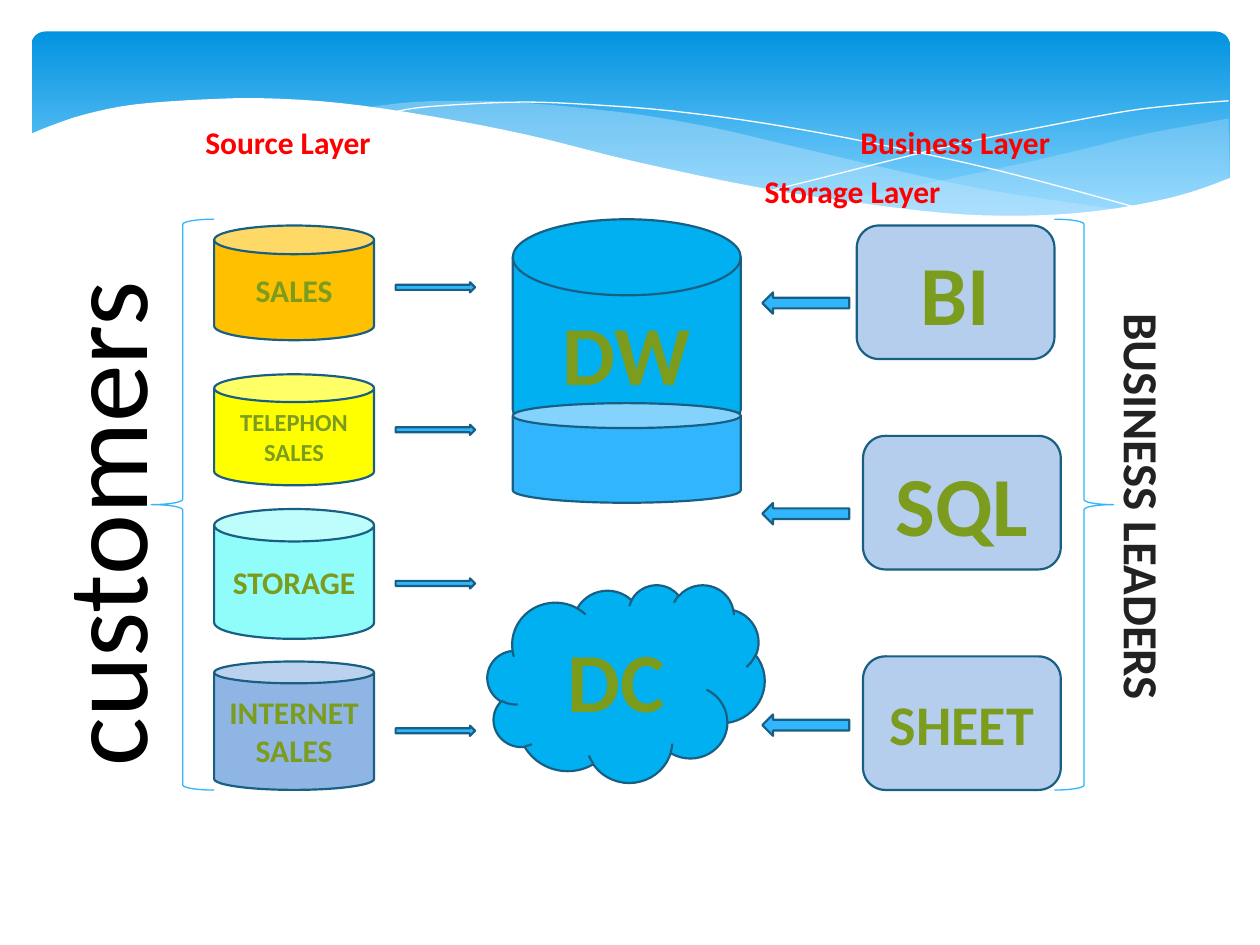
from dataclasses import dataclass

from lxml.etree import SubElement
from pptx import Presentation
from pptx.dml.color import RGBColor as Color
from pptx.enum.shapes import MSO_SHAPE as Kind
from pptx.enum.text import MSO_ANCHOR as Anchor, PP_ALIGN as Align
from pptx.oxml.ns import qn
from pptx.util import Pt


@dataclass(frozen=True)
class Theme:
    """Colours, type sizes and line widths of the slide."""
    font: str = "Calibri"
    accent: str = "31B6FD"
    outline: str = "195F84"
    store: str = "00B0F0"
    tool: str = "B5CEED"
    item: str = "7C9C1E"
    heading: str = "FF0000"
    black: str = "000000"
    dark: str = "222222"
    white: str = "FFFFFF"
    haze: str = "C6E7FC"
    sky_top: str = "0293E0"
    sky_foot: str = "83D3FE"
    sources: tuple = ("FFC000", "FFFF00", "91FDFA", "8FB5E5")
    small: int = 14
    body: int = 18
    side: int = 28
    medium: int = 32
    large: int = 48
    huge: int = 66
    border: float = 1.25
    thin: float = 0.75


THEME = Theme()

# Curves in points, measured from the top left corner of the header.
BACK_WAVE = [
    [(684, 49.7), (664.6, 53.3), (634.3, 59), (601.9, 67), (561.6, 76.3),
     (506.9, 87.8), (457.9, 97.2)],
    [(457.9, 97.2), (489.6, 100.8), (527, 104.4), (568.1, 105.8), (609.8, 103.7),
     (645.1, 97.2), (665.3, 91.4), (684.7, 83.5)]]
MIDDLE_WAVE = [
    [(625, 102.2), (584.6, 96.5), (540, 89.3), (490.3, 78.5), (434.9, 65.5),
     (391.7, 55.4), (352.1, 48.2), (316.8, 43.9), (284.4, 41), (255.6, 39.6),
     (218.2, 40.3), (187.9, 43.9)],
    [(187.9, 43.9), (228.2, 49.7), (272.9, 58.3), (305.3, 65.5), (363.6, 79.2),
     (414.7, 90), (460.8, 97.9), (501.8, 103), (547.2, 105.8), (578.2, 106.6),
     (606.2, 104.4), (625, 102.2)]]
FALLING_LINE = [
    [(204.5, 46.8), (218.2, 43.9), (243.4, 41.8), (281.5, 40.3), (319.7, 41.8),
     (365.8, 45.4), (419.8, 52.6), (482.4, 64.1), (554.4, 79.9), (635, 101.5)]]
RISING_LINE = [
    [(423.4, 90.7), (452.2, 83.5), (500.4, 71.3), (540.7, 61.9), (583.9, 53.3),
     (626.4, 45.4), (657.4, 41.8), (684, 39.6)]]
FRONT_WAVE = [
    [(685.4, 83.5), (666, 90.7), (644.4, 96.5), (612, 102.2), (574.6, 105.1),
     (529.9, 104.4), (477.4, 98.6), (416.2, 89.3), (344.2, 74.2), (283, 59),
     (226.8, 48.2), (177.1, 41), (133.9, 38.2), (97.9, 38.9), (58.3, 41.8),
     (30.2, 47.5), (10.8, 54), (-1.4, 59)],
    [(-1.4, 143.3), (685.4, 143.3)]]


def smooth(knots, steps=4):
    """Return points on a Catmull-Rom curve through the knots."""
    ends = [knots[0], *knots, knots[-1]]
    points = [knots[0]]
    for a, b, c, d in zip(ends, ends[1:], ends[2:], ends[3:]):
        for step in range(1, steps + 1):
            t = step / steps
            points.append(tuple(
                (2 * q + (r - p) * t + (2 * p - 5 * q + 4 * r - s) * t ** 2
                 + (3 * q - p - 3 * r + s) * t ** 3) / 2
                for p, q, r, s in zip(a, b, c, d)))
    return points


def write(shape, text, size, color, bold=True, align=Align.CENTER):
    """Put text into a shape and format its runs."""
    frame = shape.text_frame
    frame.word_wrap = True
    frame.text = text
    for para in frame.paragraphs:
        para.alignment = align
        for span in para.runs:
            span.font.name = THEME.font
            span.font.size = Pt(size)
            span.font.bold = bold
            span.font.color.rgb = Color.from_string(color)


def paint(shape, fill=None, line=None, width=THEME.border):
    """Set fill and line of a shape; None leaves either out."""
    shape.shadow.inherit = False
    if fill:
        shape.fill.solid()
        shape.fill.fore_color.rgb = Color.from_string(fill)
    else:
        shape.fill.background()
    if line:
        shape.line.color.rgb = Color.from_string(line)
        shape.line.width = Pt(width)
    else:
        shape.line.fill.background()


def add_block(page, kind, box, fill=None, text="", size=THEME.body):
    """Add an outlined preset shape with an optional label."""
    shape = page.shapes.add_shape(kind, *map(Pt, box))
    paint(shape, fill, THEME.outline)
    if text:
        write(shape, text, size, THEME.item)
        shape.text_frame.vertical_anchor = Anchor.MIDDLE
    return shape


def add_wave(page, origin, curves, fill=None, opacity=100, line=None):
    """Draw joined smooth curves, closed when they are filled."""
    points = [(x * 100, y * 100) for knots in curves for x, y in smooth(knots)]
    builder = page.shapes.build_freeform(*points[0], scale=Pt(1) / 100)
    builder.add_line_segments(points[1:], close=bool(fill))
    wave = builder.convert_to_shape(*map(Pt, origin))
    paint(wave, fill, line, 0)
    if opacity < 100:
        tint = wave.element.spPr.find(qn("a:solidFill"))[0]
        SubElement(tint, qn("a:alpha"), val=str(opacity * 1000))


def add_header(page, box):
    """Draw the sky band and the waves across its foot."""
    sky = page.shapes.add_shape(Kind.ROUNDED_RECTANGLE, *map(Pt, box))
    paint(sky)
    sky.adjustments[0] = 0.07
    sky.fill.gradient()
    sky.fill.gradient_angle = 270
    shades = ((0, THEME.sky_top), (0.9, THEME.sky_foot))
    for stop, (position, color) in zip(sky.fill.gradient_stops, shades):
        stop.position = position
        stop.color.rgb = Color.from_string(color)
    origin = box[:2]
    add_wave(page, origin, BACK_WAVE, THEME.haze, 29)
    add_wave(page, origin, MIDDLE_WAVE, THEME.haze, 40)
    add_wave(page, origin, FALLING_LINE, line=THEME.white)
    add_wave(page, origin, RISING_LINE, line=THEME.white)
    add_wave(page, origin, FRONT_WAVE, THEME.white)


def add_heading(page, box, text, align=Align.LEFT):
    """Add the name of a layer."""
    write(page.shapes.add_textbox(*map(Pt, box)), text, THEME.body, THEME.heading,
          align=align)


def add_side(page, box, kind, brace_box, text, size, color, turn, bold):
    """Add a brace with turned text beside it."""
    brace = page.shapes.add_shape(kind, *map(Pt, brace_box))
    paint(brace, line=THEME.accent, width=THEME.thin)
    label = page.shapes.add_textbox(*map(Pt, box))
    write(label, text, size, color, bold)
    label.element.txBody.bodyPr.set("vert", turn)
    return label


def add_sources(page, box):
    """Stack the source cans, each with an arrow to its right."""
    left, top, width = box
    rows = [("SALES", 0, 65.5, THEME.body, 32.4),
            ("TELEPHON\nSALES", 85, 63.4, THEME.small, 113.8),
            ("STORAGE", 162, 74.2, THEME.body, 201.6),
            ("INTERNET\nSALES", 249.1, 73.4, THEME.body, 285.8)]
    for (text, drop, height, size, arrow), fill in zip(rows, THEME.sources):
        can = add_block(page, Kind.CAN, (left, top + drop, width, height), fill, text, size)
        add_block(page, Kind.RIGHT_ARROW, (left + 103.7, top + arrow, 45.4, 5.8),
                  THEME.accent)
    can.adjustments[0] = 0.17


def add_stores(page, box):
    """Place the warehouse disk, its lower can and the cloud."""
    left, top, width = box
    add_block(page, Kind.FLOWCHART_MAGNETIC_DISK, (left, top, width, 130.3),
              THEME.store, "DW", THEME.large)
    add_block(page, Kind.CAN, (left, top + 105.1, width, 56.9), THEME.accent)
    add_block(page, Kind.CLOUD, (left - 14.4, top + 208.8, 158.4, 113), THEME.store,
              "DC", THEME.large)


def add_tools(page, box):
    """Stack the business tools, each with an arrow to its left."""
    left, top, width, height = box
    rows = [("BI", 0, 0, THEME.large, 38.2),
            ("SQL", 3.6, 120.2, THEME.large, 158.6),
            ("SHEET", 3.6, 246.2, THEME.medium, 279.4)]
    for text, shift, drop, size, arrow in rows:
        add_block(page, Kind.ROUNDED_RECTANGLE, (left + shift, top + drop, width, height),
                  THEME.tool, text, size)
        add_block(page, Kind.LEFT_ARROW, (left - 54, top + arrow, 49.7, 12.2), THEME.accent)


def build():
    """Build the slide and save it."""
    deck = Presentation()
    deck.slide_width, deck.slide_height = Pt(720), Pt(540)
    page = deck.slides.add_slide(deck.slide_layouts[6])
    add_header(page, (18, 18, 684.7, 112.3))
    add_heading(page, (110.2, 67, 116.6, 28.8), "Source Layer")
    add_heading(page, (422, 95, 130.3, 28.8), "Storage Layer", Align.CENTER)
    add_heading(page, (484.6, 67, 130.3, 28.8), "Business Layer")
    add_sources(page, (122.4, 128.9, 91.4))
    add_stores(page, (293, 125.3, 130.3))
    add_tools(page, (489.6, 128.9, 113, 76.3))
    add_side(page, (14.5, 137.5, 94, 324), Kind.LEFT_BRACE, (86.4, 125.3, 36, 326.2),
             "customers", THEME.huge, THEME.black, "vert270", False)
    leaders = add_side(page, (636.5, 130, 33.8, 319), Kind.RIGHT_BRACE,
                       (602.6, 125.3, 33.8, 326.2), "BUSINESS LEADERS",
                       THEME.side, THEME.dark, "vert", True)
    frame = leaders.text_frame
    frame.vertical_anchor = Anchor.MIDDLE
    frame.margin_left = frame.margin_right = frame.margin_top = frame.margin_bottom = 0
    deck.save("out.pptx")


build()
